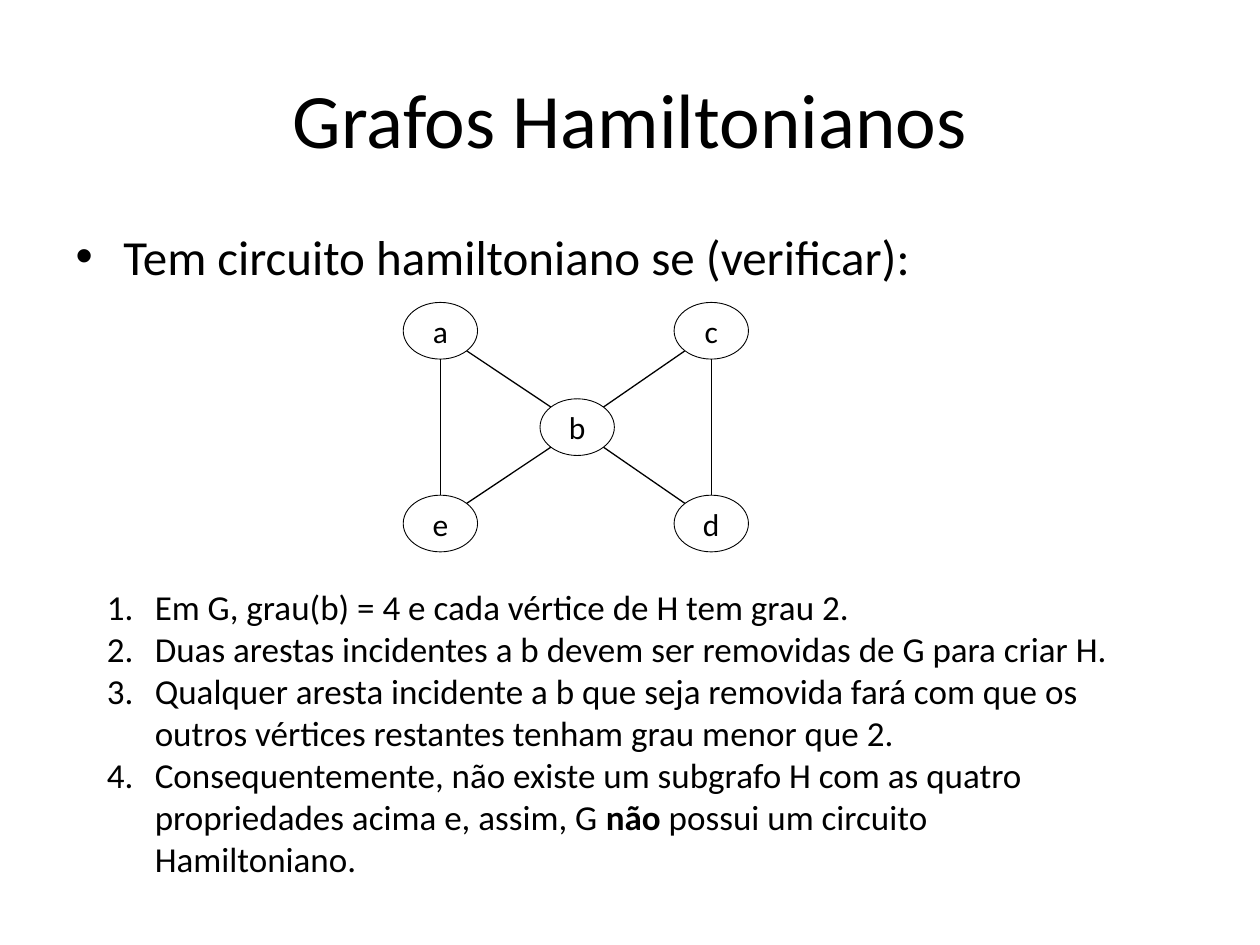
from lxml import etree
from pptx import Presentation, util as u
from pptx.dml.color import RGBColor
from pptx.enum import shapes, text
from pptx.oxml import ns

WIDE, HIGH = u.Inches(10), u.Inches(7.5)
FONT, INK, PAPER = "Calibri", "000000", "FFFFFF"


def tint(code):
    return RGBColor.from_string(code)


def area(left, top, width, height):
    return (int(left * WIDE), int(top * HIGH),
            int(width * WIDE), int(height * HIGH))


def move(item, box):
    item.left, item.top, item.width, item.height = box


def style(para, size, align):
    para.alignment = align
    for run in para.runs:
        run.font.name = FONT
        run.font.size = u.Pt(size)
        run.font.color.rgb = tint(INK)


def mark(para, tag, **attrs):
    props = para._p.get_or_add_pPr()
    props.set("marL", str(u.Inches(0.38)))
    props.set("indent", str(-u.Inches(0.38)))
    etree.SubElement(props, ns.qn("a:buFont"), typeface="Arial")
    etree.SubElement(props, ns.qn(tag), **attrs)


def head(slide, box, words):
    title = slide.shapes.title
    move(title, box)
    frame = title.text_frame
    frame.text = words
    frame.vertical_anchor = text.MSO_ANCHOR.MIDDLE
    style(frame.paragraphs[0], 44, text.PP_ALIGN.CENTER)


def lead(slide, box, words):
    body = slide.placeholders[1]
    move(body, box)
    body.text_frame.text = words
    para = body.text_frame.paragraphs[0]
    para.space_before = u.Pt(0)
    mark(para, "a:buChar", char="•")
    style(para, 28, text.PP_ALIGN.LEFT)


def node(slide, mid, size, name):
    oval = slide.shapes.add_shape(
        shapes.MSO_SHAPE.OVAL,
        mid[0] - size[0] // 2, mid[1] - size[1] // 2, *size)
    oval.shadow.inherit = False
    oval.fill.solid()
    oval.fill.fore_color.rgb = tint(PAPER)
    oval.line.color.rgb = tint(INK)
    oval.line.width = u.Pt(0.5)
    frame = oval.text_frame
    frame.margin_left = frame.margin_right = 0
    frame.margin_top = frame.margin_bottom = 0
    frame.text = name
    frame.vertical_anchor = text.MSO_ANCHOR.MIDDLE
    style(frame.paragraphs[0], 18, text.PP_ALIGN.CENTER)


def rim(start, goal, size):
    signs = [(g > s) - (g < s) for s, g in zip(start, goal)]
    reach = 0.71 if all(signs) else 1
    return [int(s + sign * reach * side / 2)
            for s, sign, side in zip(start, signs, size)]


def edge(slide, start, goal, size):
    line = slide.shapes.add_connector(
        shapes.MSO_CONNECTOR.STRAIGHT,
        *rim(start, goal, size), *rim(goal, start, size))
    line.line.color.rgb = tint(INK)
    line.line.width = u.Pt(0.75)
    etree.SubElement(line._element.spPr, ns.qn("a:effectLst"))


def graph(slide, box, spots, links):
    left, top, width, height = box
    size = u.Inches(0.59), u.Inches(0.45)
    mids = {name: (int(left + size[0] / 2 + x * (width - size[0])),
                   int(top + size[1] / 2 + y * (height - size[1])))
            for name, (x, y) in spots.items()}
    for name, mid in mids.items():
        node(slide, mid, size, name)
    for start, goal in links:
        edge(slide, mids[start], mids[goal], size)


def steps(slide, box, items):
    frame = slide.shapes.add_textbox(*box).text_frame
    frame.word_wrap = True
    frame.auto_size = text.MSO_AUTO_SIZE.SHAPE_TO_FIT_TEXT
    for i, parts in enumerate(items):
        para = frame.add_paragraph() if i else frame.paragraphs[0]
        mark(para, "a:buAutoNum", type="arabicPeriod")
        for j, part in enumerate(parts):
            run = para.add_run()
            run.text = part
            run.font.bold = j % 2 == 1
        style(para, 20, text.PP_ALIGN.LEFT)


def main():
    deck = Presentation()
    deck.slide_width, deck.slide_height = WIDE, HIGH
    slide = deck.slides.add_slide(deck.slide_layouts[1])
    head(slide, area(0.05, 0.04, 0.9, 0.17), "Grafos Hamiltonianos")
    lead(slide, area(0.05, 0.233, 0.9, 0.116),
         "Tem circuito hamiltoniano se (verificar):")
    graph(slide, area(0.32, 0.32, 0.274, 0.264),
          {"a": (0, 0), "b": (0.505, 0.5), "c": (1, 0),
           "d": (1, 1), "e": (0, 1)},
          ["ae", "cd", "ba", "bc", "bd", "be"])
    steps(slide, area(0.075, 0.613, 0.835, 0.328), [
        ["Em G, grau(b) = 4 e cada vértice de H tem grau 2."],
        ["Duas arestas incidentes a b devem ser removidas de G "
         "para criar H."],
        ["Qualquer aresta incidente a b que seja removida fará com que os "
         "outros vértices restantes tenham grau menor que 2."],
        ["Consequentemente, não existe um subgrafo H com as quatro "
         "propriedades acima e, assim, G ", "não",
         " possui um circuito Hamiltoniano."],
    ])
    deck.save("out.pptx")


if __name__ == "__main__":
    main()
